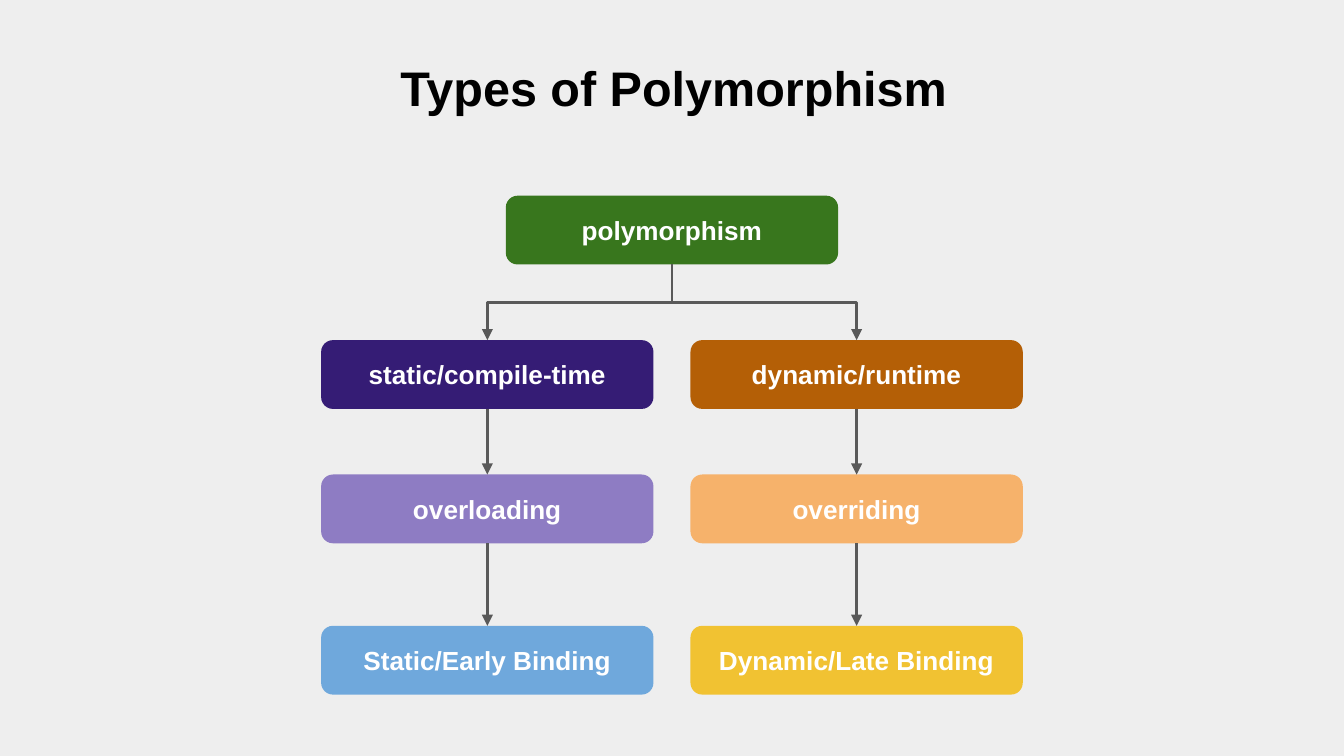
from dataclasses import dataclass

from lxml import etree
from pptx import Presentation
from pptx.dml.color import RGBColor
from pptx.enum.shapes import MSO_CONNECTOR, MSO_SHAPE
from pptx.enum.text import MSO_ANCHOR, PP_ALIGN
from pptx.oxml.ns import qn
from pptx.util import Cm, Pt

ROUNDED = MSO_SHAPE.ROUNDED_RECTANGLE
STRAIGHT, ELBOW = MSO_CONNECTOR.STRAIGHT, MSO_CONNECTOR.ELBOW
CENTER = PP_ALIGN.CENTER
TOP, MIDDLE = MSO_ANCHOR.TOP, MSO_ANCHOR.MIDDLE
BOTTOM_SITE, TOP_SITE = 2, 0

TITLE = "Types of Polymorphism"
ROOT = ("polymorphism", "38761D")
BRANCHES = [
    [
        ("static/compile-time", "351C75"),
        ("overloading", "8E7CC3"),
        ("Static/Early Binding", "6FA8DC"),
    ],
    [
        ("dynamic/runtime", "B45F06"),
        ("overriding", "F6B26B"),
        ("Dynamic/Late Binding", "F1C232"),
    ],
]


@dataclass(frozen=True)
class Theme:
    font: str = "Arial"
    background: str = "EEEEEE"
    title_color: str = "000000"
    node_color: str = "FFFFFF"
    line_color: str = "595959"
    title_size: int = 26
    node_size: int = 14
    line_width: float = 1.5


THEME = Theme()
SLIDE_WIDTH, SLIDE_HEIGHT = Cm(25.4), Cm(14.29)
NODE_WIDTH, NODE_HEIGHT = Cm(6.28), Cm(1.3)
COLUMN_GAP = Cm(0.7)
ROOT_TOP = Cm(3.7)
LEVEL_TOPS = [Cm(6.43), Cm(8.97), Cm(11.83)]
INSET = Cm(0.25)


def write(frame, text, size, color, anchor):
    frame.text = text
    frame.word_wrap = True
    frame.vertical_anchor = anchor
    frame.margin_left = frame.margin_right = INSET
    frame.margin_top = frame.margin_bottom = INSET
    paragraph = frame.paragraphs[0]
    paragraph.alignment = CENTER
    font = paragraph.runs[0].font
    font.name, font.size, font.bold = THEME.font, Pt(size), True
    font.color.rgb = RGBColor.from_string(color)


def add_node(slide, content, center, top):
    label, color = content
    node = slide.shapes.add_shape(
        ROUNDED, center - NODE_WIDTH // 2, top, NODE_WIDTH, NODE_HEIGHT
    )
    node.adjustments[0] = 0.17
    node.shadow.inherit = False
    node.fill.solid()
    node.fill.fore_color.rgb = RGBColor.from_string(color)
    node.line.fill.background()
    write(node.text_frame, label, THEME.node_size, THEME.node_color, MIDDLE)
    return node


def turn_downward(connector):
    dx = connector.end_x - connector.begin_x
    dy = connector.end_y - connector.begin_y
    center_x = connector.begin_x + dx // 2
    center_y = connector.begin_y + dy // 2
    connector.left, connector.top = center_x - dy // 2, center_y - abs(dx) // 2
    connector.width, connector.height = dy, abs(dx)
    xfrm = connector.element.spPr.find(qn("a:xfrm"))
    xfrm.set("rot", str((90 if dx < 0 else 270) * 60000))
    xfrm.set("flipH", "0" if dx < 0 else "1")


def add_arrow(slide, kind, parent, child):
    arrow = slide.shapes.add_connector(kind, 0, 0, 0, 0)
    arrow.begin_connect(parent, BOTTOM_SITE)
    arrow.end_connect(child, TOP_SITE)
    if kind == ELBOW:
        turn_downward(arrow)
    arrow.line.color.rgb = RGBColor.from_string(THEME.line_color)
    arrow.line.width = Pt(THEME.line_width)
    etree.SubElement(arrow.line._get_or_add_ln(), qn("a:tailEnd"), type="triangle")
    etree.SubElement(arrow.element.spPr, qn("a:effectLst"))


def main():
    deck = Presentation()
    deck.slide_width, deck.slide_height = SLIDE_WIDTH, SLIDE_HEIGHT
    slide = deck.slides.add_slide(deck.slide_layouts[5])
    slide.background.fill.solid()
    slide.background.fill.fore_color.rgb = RGBColor.from_string(THEME.background)

    title = slide.shapes.title
    title.left, title.top = Cm(0.84), Cm(0.84)
    title.width, title.height = Cm(23.8), Cm(1.63)
    write(title.text_frame, TITLE, THEME.title_size, THEME.title_color, TOP)

    middle = SLIDE_WIDTH // 2
    root = add_node(slide, ROOT, middle, ROOT_TOP)
    offset = (NODE_WIDTH + COLUMN_GAP) // 2
    for branch, center in zip(BRANCHES, (middle - offset, middle + offset)):
        parent, kind = root, ELBOW
        for content, top in zip(branch, LEVEL_TOPS):
            child = add_node(slide, content, center, top)
            add_arrow(slide, kind, parent, child)
            parent, kind = child, STRAIGHT

    deck.save("out.pptx")


if __name__ == "__main__":
    main()
